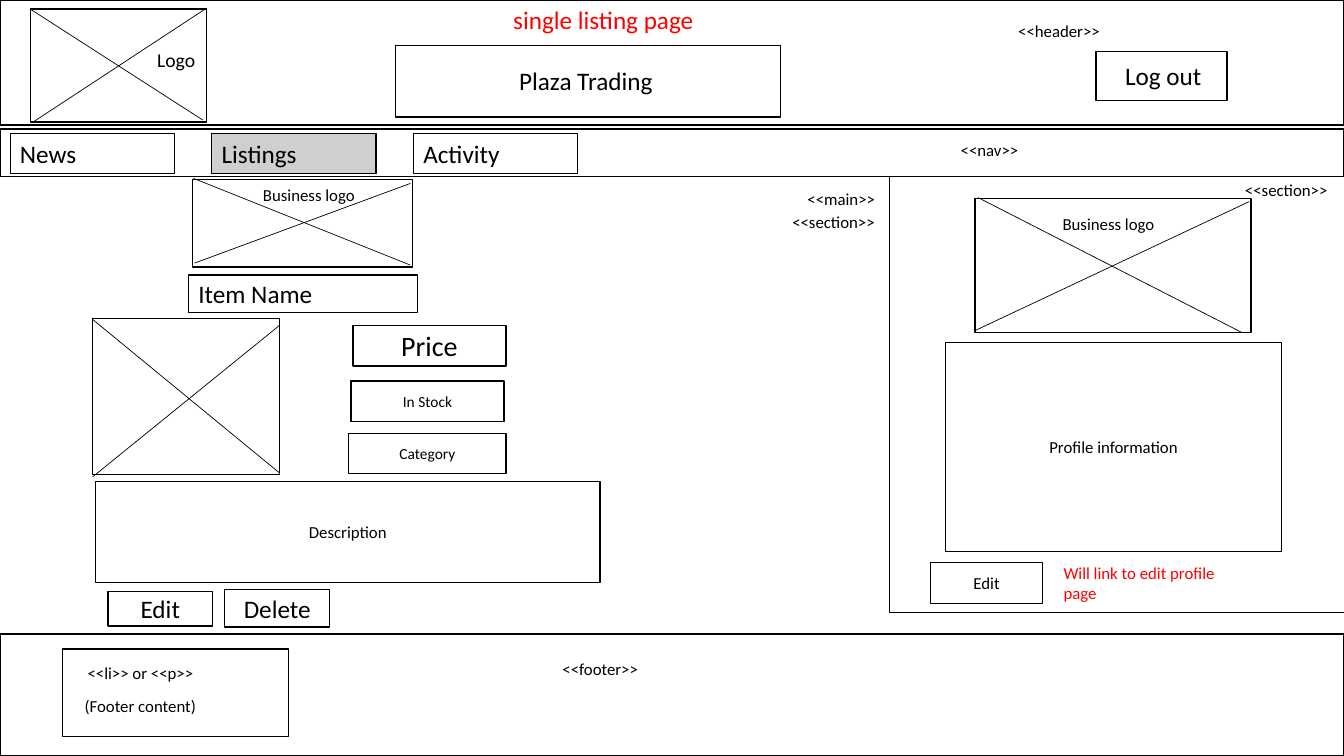
from dataclasses import dataclass

from lxml import etree
from pptx import Presentation
from pptx.dml.color import RGBColor
from pptx.enum.shapes import MSO_CONNECTOR, MSO_SHAPE
from pptx.enum.text import MSO_ANCHOR, MSO_AUTO_SIZE, PP_ALIGN
from pptx.oxml.ns import qn
from pptx.util import Emu, Pt

RECTANGLE = MSO_SHAPE.RECTANGLE
STRAIGHT = MSO_CONNECTOR.STRAIGHT
TOP, MIDDLE = MSO_ANCHOR.TOP, MSO_ANCHOR.MIDDLE
LEFT, CENTER = PP_ALIGN.LEFT, PP_ALIGN.CENTER
NO_AUTOFIT = MSO_AUTO_SIZE.NONE

EMU_PER_PX = 9144  # 100 px to the inch
PAGE_WIDTH, PAGE_HEIGHT = 1333, 750


@dataclass(frozen=True)
class Theme:
    font: str = "Calibri"
    ink: RGBColor = RGBColor(0, 0, 0)
    remark: RGBColor = RGBColor(255, 0, 0)
    active: RGBColor = RGBColor(0xD0, 0xCE, 0xCE)
    tiny: int = 11
    small: int = 12
    medium: int = 14
    large: int = 18
    huge: int = 20
    border: float = 1
    tab_border: float = 0.75
    stroke: float = 0.5


THEME = Theme()


def px(*lengths):
    return [Emu(length * EMU_PER_PX) for length in lengths]


def write(shape, text, size, color=THEME.ink, align=LEFT, anchor=TOP):
    frame = shape.text_frame
    frame.word_wrap = True
    frame.auto_size = NO_AUTOFIT
    frame.vertical_anchor = anchor
    para = frame.paragraphs[0]
    para.alignment = align
    para.line_spacing = 1.0
    span = para.add_run()
    span.text = text
    span.font.name = THEME.font
    span.font.size = Pt(size)
    span.font.color.rgb = color


def add_title(page, text, area):
    title = page.shapes.title
    title.left, title.top, title.width, title.height = px(*area)
    write(title, text, THEME.large, THEME.remark)


def add_box(page, area, fill=None, border=THEME.border):
    box = page.shapes.add_shape(RECTANGLE, *px(*area))
    box.shadow.inherit = False
    if fill is None:
        box.fill.background()
    else:
        box.fill.solid()
        box.fill.fore_color.rgb = fill
    box.line.color.rgb = THEME.ink
    box.line.width = Pt(border)
    return box


def add_field(page, text, area, size=THEME.small, align=CENTER):
    write(add_box(page, area), text, size, align=align, anchor=MIDDLE)


def add_label(page, text, area, size=THEME.small, color=THEME.ink):
    write(page.shapes.add_textbox(*px(*area)), text, size, color)


def add_image_slot(page, area, *strokes):
    """Frame crossed by strokes, each given as x1, y1, x2, y2."""
    add_box(page, area)
    for ends in strokes:
        stroke = page.shapes.add_connector(STRAIGHT, *px(*ends))
        stroke.line.color.rgb = THEME.ink
        stroke.line.width = Pt(THEME.stroke)
        etree.SubElement(stroke._element.spPr, qn("a:effectLst"))


def add_header(page):
    add_box(page, (0, 0, PAGE_WIDTH, 124))
    add_image_slot(page, (30, 9, 175, 112), (30, 9, 201, 119), (205, 8, 33, 121))
    add_label(page, "Logo", (146, 43, 65, 34), THEME.medium)
    add_box(page, (392, 45, 382, 71))
    add_label(page, "Plaza Trading", (505, 60, 189, 40), THEME.large)
    add_label(page, "<<header>>", (1000, 16, 175, 30))
    add_box(page, (1087, 51, 130, 49))
    add_label(page, "Log out", (1106, 55, 119, 40), THEME.large)


def add_nav(page, tabs, current):
    for index, name in enumerate(tabs):
        fill = THEME.active if name == current else None
        tab = add_box(page, (10 + 200 * index, 132, 163, 40), fill, THEME.tab_border)
        write(tab, name, THEME.large)
    add_box(page, (0, 128, PAGE_WIDTH, 47))
    add_label(page, "<<nav>>", (943, 134, 175, 30))


def add_listing(page):
    add_label(page, "<<main>>", (791, 182, 89, 30))
    add_label(page, "<<section>>", (776, 205, 106, 30))
    add_image_slot(page, (191, 178, 218, 87), (192, 177, 407, 263), (193, 261, 407, 182))
    add_label(page, "Business logo", (251, 178, 122, 30))
    add_field(page, "Item Name", (187, 273, 227, 37), THEME.large, LEFT)
    add_image_slot(page, (92, 316, 185, 155), (92, 317, 277, 469), (92, 473, 277, 323))
    add_field(page, "Price", (350, 323, 152, 40), THEME.huge)
    add_field(page, "In Stock", (348, 378, 152, 40), THEME.tiny)
    add_field(page, "Category", (346, 430, 156, 40), THEME.tiny)
    add_field(page, "Description", (95, 478, 500, 100))
    add_field(page, "Edit", (107, 587, 104, 34), THEME.large)
    add_field(page, "Delete", (223, 585, 104, 37), THEME.large)


def add_profile(page):
    add_box(page, (882, 175, 452, 433))
    add_label(page, "<<section>>", (1225, 173, 106, 30))
    add_image_slot(page, (967, 197, 274, 133), (970, 196, 1232, 330), (967, 328, 1239, 200))
    add_label(page, "Business logo", (1044, 207, 122, 30))
    add_field(page, "Profile information", (938, 340, 333, 207))
    add_field(page, "Edit", (923, 558, 111, 41))
    add_label(page, "Will link to edit profile page", (1045, 553, 173, 50), color=THEME.remark)


def add_footer(page):
    add_box(page, (0, 629, PAGE_WIDTH, 121))
    add_label(page, "<<footer>>", (548, 649, 159, 30))
    add_box(page, (62, 644, 224, 87))
    add_label(page, "<<li>> or <<p>>", (77, 653, 149, 30))
    add_label(page, "(Footer content)", (74, 685, 149, 30))


def main():
    deck = Presentation()
    deck.slide_width, deck.slide_height = px(PAGE_WIDTH, PAGE_HEIGHT)
    page = deck.slides.add_slide(deck.slide_layouts.get_by_name("Title Only"))
    add_title(page, "single listing page", (499, -1, 297, 40))
    add_header(page)
    add_nav(page, ("News", "Listings", "Activity"), "Listings")
    add_listing(page)
    add_profile(page)
    add_footer(page)
    deck.save("out.pptx")


if __name__ == "__main__":
    main()
